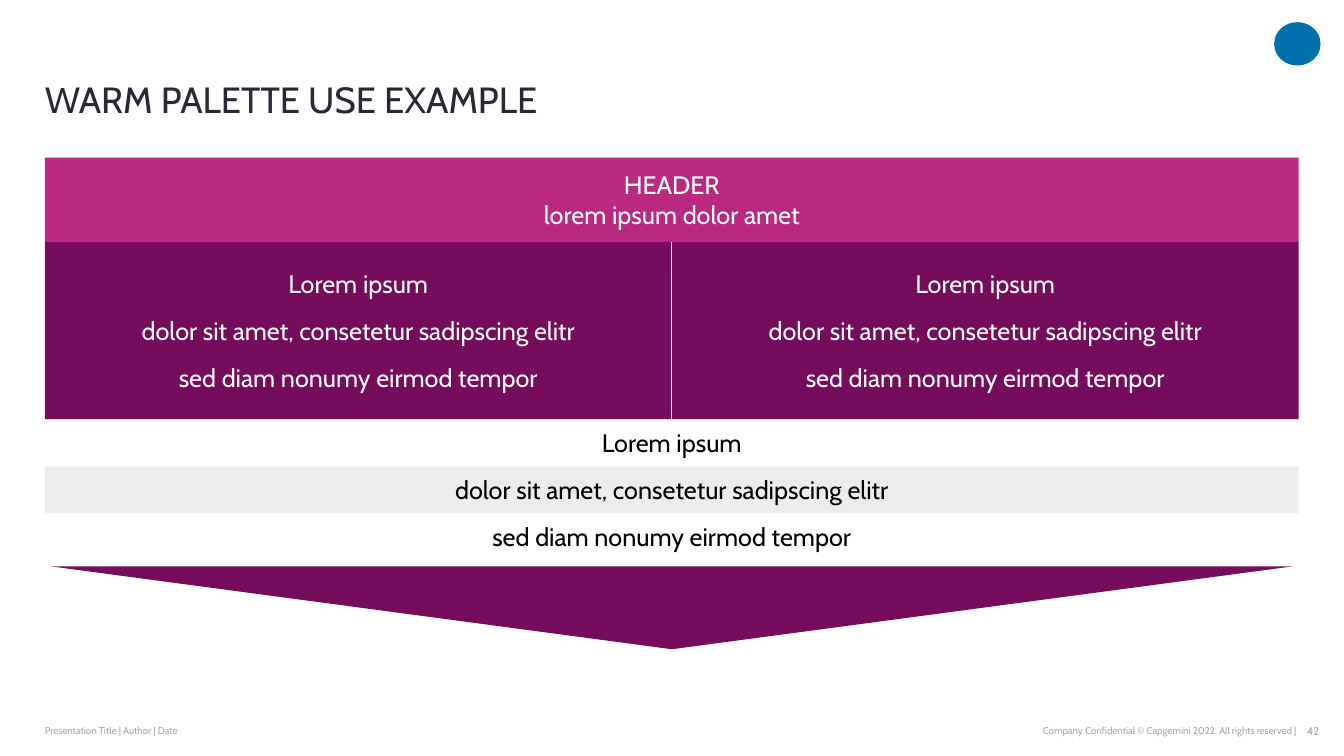
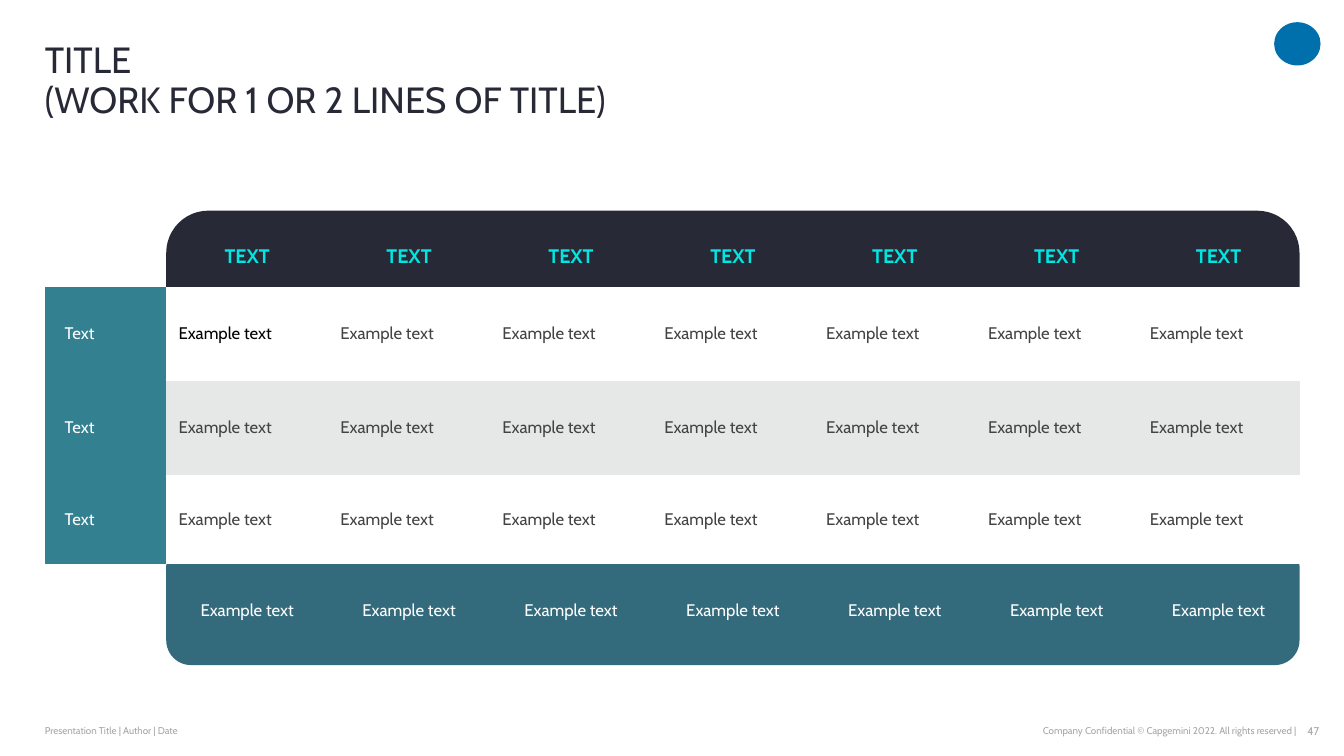
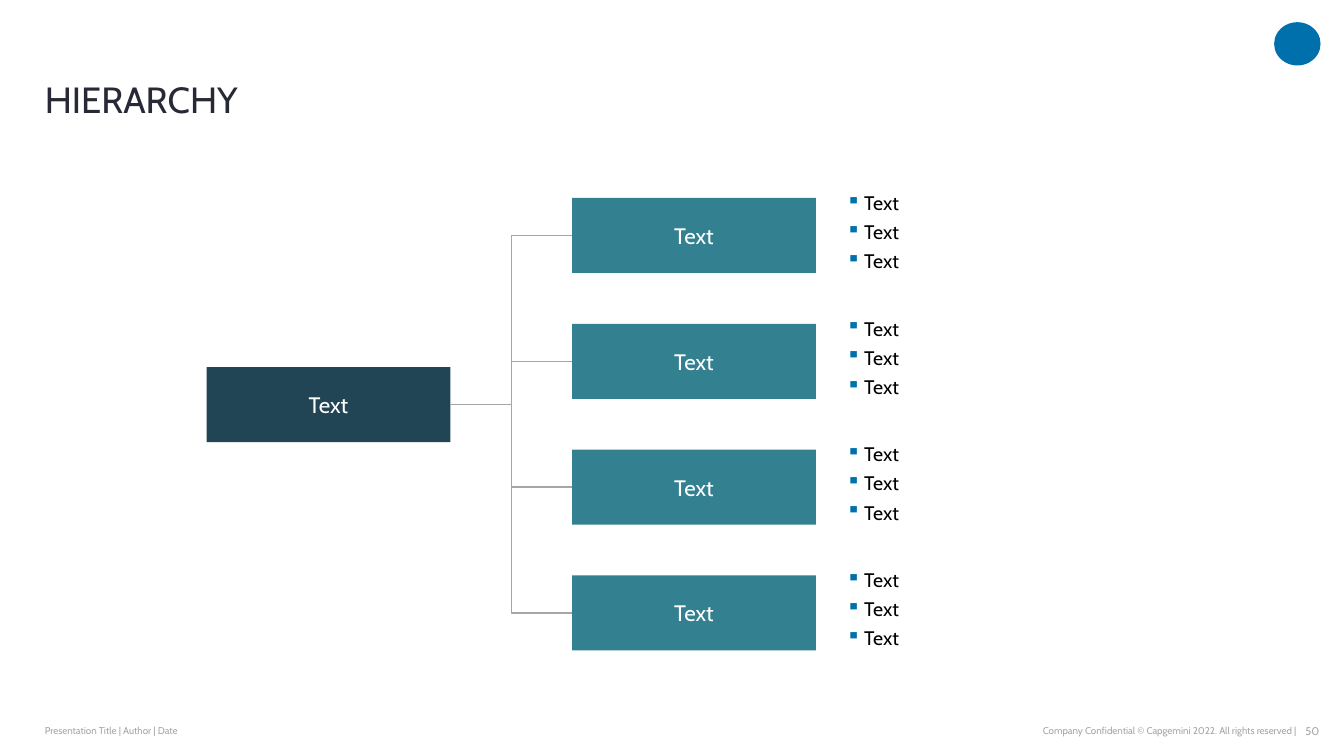
from lxml.etree import SubElement
from pptx import Presentation
from pptx.dml.color import RGBColor
from pptx.enum.shapes import MSO_CONNECTOR as LINK, MSO_SHAPE as SHAPE
from pptx.enum.text import MSO_ANCHOR as ANCHOR, PP_ALIGN as ALIGN
from pptx.oxml.ns import qn
from pptx.util import Cm, Pt

FONT = "Cabin"
INK, WHITE, BLACK, GREY = "272936", "FFFFFF", "000000", "A6A6A6"
PINK, PLUM, PALE = "BA2980", "750D5C", "ECECEC"
TEAL, PETROL, NAVY, BLUE = "338091", "336B7D", "214554", "0070AD"
AQUA, CHARCOAL, BAND = "00E6E3", "434343", "E6E7E7"
LEFT, WIDTH = 1.13, 31.6
NO_GRID = "{2D5ABB26-0587-4C30-8999-92F81FD0307C}"


def rgb(value):
    return RGBColor.from_string(value)


def add_bullet(p, color, indent=0.45):
    pPr = p._p.get_or_add_pPr()
    pPr.set("marL", str(Cm(indent)))
    pPr.set("indent", str(-Cm(indent)))
    SubElement(SubElement(pPr, qn("a:buClr")), qn("a:srgbClr")).set("val", color)
    SubElement(pPr, qn("a:buChar")).set("char", "▪")


def write(tf, text, size=18, color=BLACK, bold=False, align=ALIGN.LEFT,
          spacing=None, before=0, after=0, bullet=None):
    lines = [text] if isinstance(text, str) else text
    for i, line in enumerate(lines):
        p = tf.add_paragraph() if i else tf.paragraphs[0]
        p.text = line
        if bullet:
            add_bullet(p, bullet)
        p.alignment = align
        p.line_spacing = spacing
        p.space_before = Pt(before if i else 0)
        p.space_after = Pt(after)
        for r in p.runs:
            r.font.name, r.font.size, r.font.bold = FONT, Pt(size), bold
            r.font.color.rgb = rgb(color)


class Deck:
    """Hold the shared style and the current slide."""

    def __init__(self):
        self.prs = Presentation()
        self.prs.slide_width, self.prs.slide_height = Cm(33.87), Cm(19.05)

    def slide(self, title, number):
        self.s = self.prs.slides.add_slide(self.prs.slide_layouts[6])
        self.shape(SHAPE.OVAL, 32.11, 0.56, 1.17, 1.09, BLUE)
        self.text(LEFT, 18.11, 9.47, 0.61, "Presentation Title | Author | Date",
                  inset=(0, 0), size=7, color=GREY)
        self.text(20.07, 18.11, 12.6, 0.61,
                  "Company Confidential © Capgemini 2022. All rights reserved |",
                  inset=(0, 0), size=7, color=GREY, align=ALIGN.RIGHT)
        self.text(32.61, 18.11, 0.64, 0.61, str(number), anchor=ANCHOR.TOP,
                  inset=(0, 0.13), size=8, color=GREY, align=ALIGN.RIGHT)
        self.text(LEFT, 1.07, 30.4, 1.98, title, anchor=ANCHOR.BOTTOM,
                  inset=(0, 0), size=26, color=INK, spacing=0.9)

    def text(self, x, y, w, h, text, anchor=ANCHOR.MIDDLE, inset=(0.25, 0.13), **style):
        sp = self.s.shapes.add_textbox(Cm(x), Cm(y), Cm(w), Cm(h))
        self.fill_frame(sp.text_frame, text, anchor, inset, **style)

    def shape(self, kind, x, y, w, h, fill, text=None, adjust=None, turn=0, **style):
        sp = self.s.shapes.add_shape(kind, Cm(x), Cm(y), Cm(w), Cm(h))
        sp.shadow.inherit = False
        sp.fill.solid()
        sp.fill.fore_color.rgb = rgb(fill)
        sp.line.fill.background()
        sp.rotation = turn
        if adjust is not None:
            sp.adjustments[0] = adjust
        if text:
            self.fill_frame(sp.text_frame, text, ANCHOR.MIDDLE, (0.25, 0.13),
                            align=ALIGN.CENTER, **style)
        return sp

    def fill_frame(self, tf, text, anchor, inset, **style):
        tf.word_wrap = True
        tf.vertical_anchor = anchor
        tf.margin_left = tf.margin_right = Cm(inset[0])
        tf.margin_top = tf.margin_bottom = Cm(inset[1])
        write(tf, text, **style)

    def line(self, color, kind=LINK.STRAIGHT, ends=(0, 0, 0, 0), link=None):
        cx = self.s.shapes.add_connector(kind, *(Cm(v) for v in ends))
        if link:
            cx.begin_connect(link[0], 3)
            cx.end_connect(link[1], 1)
        cx.line.color.rgb = rgb(color)
        cx.line.width = Pt(1)
        SubElement(cx._element.spPr, qn("a:effectLst"))

    def table(self, x, y, widths, heights):
        frame = self.s.shapes.add_table(len(heights), len(widths), Cm(x), Cm(y),
                                        Cm(sum(widths)), Cm(sum(heights)))
        table = frame.table
        table.first_row = table.horz_banding = False
        for style_id in frame._element.iter(qn("a:tableStyleId")):
            style_id.text = NO_GRID
        for column, w in zip(table.columns, widths):
            column.width = Cm(w)
        for row, h in zip(table.rows, heights):
            row.height = Cm(h)
        return table

    def cell(self, cell, text, fill=None, margin=0.31, **style):
        cell.vertical_anchor = ANCHOR.MIDDLE
        cell.margin_left, cell.margin_right = Cm(margin), Cm(0.31)
        cell.margin_top = cell.margin_bottom = 0
        if fill:
            cell.fill.solid()
            cell.fill.fore_color.rgb = rgb(fill)
        else:
            cell.fill.background()
        write(cell.text_frame, text, spacing=Pt(14), **style)


def palette_slide(deck):
    deck.slide("WARM PALETTE USE EXAMPLE", 42)
    lines = ["Lorem ipsum", "dolor sit amet, consetetur sadipscing elitr",
             "sed diam nonumy eirmod tempor"]
    half = WIDTH / 2
    middle = LEFT + half
    deck.shape(SHAPE.ISOSCELES_TRIANGLE, 1.27, 14.27, 31.32, 2.09, PLUM, turn=180)
    deck.shape(SHAPE.RECTANGLE, LEFT, 3.97, WIDTH, 2.13, PINK,
               "HEADER\vlorem ipsum dolor amet", color=WHITE)
    deck.shape(SHAPE.RECTANGLE, LEFT, 6.1, WIDTH, 4.47, PLUM)
    for x in (LEFT, middle):
        deck.text(x, 6.63, half, 3.43, lines, anchor=ANCHOR.TOP, color=WHITE,
                  align=ALIGN.CENTER, after=12)
    deck.line(WHITE, ends=(middle, 6.1, middle, 10.57))
    for i, line in enumerate(lines):
        fill = PALE if i % 2 else WHITE
        deck.shape(SHAPE.RECTANGLE, LEFT, 10.57 + 1.18 * i, WIDTH, 1.18, fill, line)


def table_slide(deck):
    deck.slide("TITLE\v(WORK FOR 1 OR 2 LINES OF TITLE)", 47)
    label_w, column_w, columns = 3.06, 4.08, 7
    x, w = LEFT + label_w, column_w * columns
    deck.shape(SHAPE.ROUNDED_RECTANGLE, x, 13.64, w, 3.12, PETROL, adjust=0.2)
    deck.shape(SHAPE.ROUNDED_RECTANGLE, x, 5.31, w, 3.12, INK, adjust=0.34)
    table = deck.table(LEFT, 5.77, [label_w] + [column_w] * columns,
                       [1.47, 2.36, 2.36, 2.26, 2.36])
    for row, fill in enumerate((WHITE, BAND, WHITE), 1):
        deck.cell(table.cell(row, 0), "Text", TEAL, 0.5, size=12, color=WHITE)
        for col in range(1, columns + 1):
            color = BLACK if row == col == 1 else CHARCOAL
            deck.cell(table.cell(row, col), "Example text", fill, size=12, color=color)
    for col in range(1, columns + 1):
        deck.cell(table.cell(0, col), "TEXT", size=14, color=AQUA, bold=True,
                  align=ALIGN.CENTER)
        deck.cell(table.cell(4, col), "Example text", size=12, color=WHITE,
                  align=ALIGN.CENTER)


def hierarchy_slide(deck):
    deck.slide("HIERARCHY", 50)
    box_w, box_h, pitch = 6.14, 1.89, 3.17
    label = dict(text="Text", size=16, color=WHITE)
    root = deck.shape(SHAPE.RECTANGLE, 5.21, 9.25, box_w, box_h, NAVY, **label)
    for i in range(4):
        branch = deck.shape(SHAPE.RECTANGLE, 14.42, 4.99 + pitch * i, box_w, box_h,
                            TEAL, **label)
        deck.text(21.08, 4.63 + pitch * i, 7.57, 2.41, ["Text"] * 3, size=14,
                  before=4, bullet=BLUE)
        deck.line(GREY, LINK.ELBOW, link=(root, branch))


def main():
    deck = Deck()
    palette_slide(deck)
    table_slide(deck)
    hierarchy_slide(deck)
    deck.prs.save("out.pptx")


if __name__ == "__main__":
    main()
